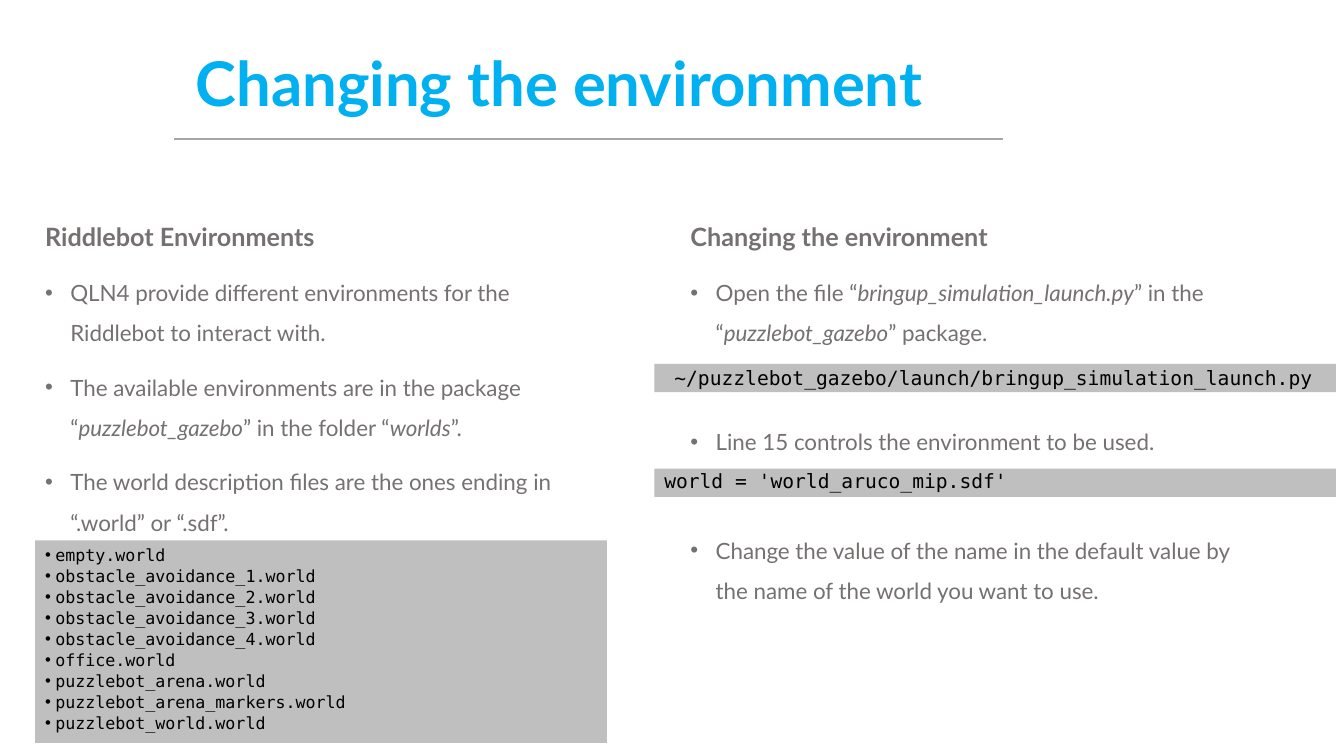
from dataclasses import dataclass
from lxml.etree import SubElement
from pptx import Presentation
from pptx.dml.color import RGBColor
from pptx.enum.shapes import MSO_CONNECTOR, MSO_SHAPE
from pptx.enum.text import MSO_ANCHOR, MSO_AUTO_SIZE, PP_ALIGN
from pptx.oxml.ns import qn
from pptx.util import Inches, Pt


@dataclass(frozen=True)
class Theme:
    accent = RGBColor(0x00, 0xB0, 0xF0)
    body = RGBColor(0x76, 0x71, 0x71)
    rule = RGBColor(0xA5, 0xA5, 0xA5)
    code_fill = RGBColor(0xBF, 0xBF, 0xBF)
    code = RGBColor(0, 0, 0)
    sans = "Lato"
    mono = "DejaVu Sans Mono"
    title_size = Pt(44)
    heading_size = Pt(18)
    body_size = Pt(16)
    code_size = Pt(14)
    list_size = Pt(11.9)


THEME = Theme()
BULLET_GAP = Pt(10)
CODE_GAP = Pt(48.8)

ENVIRONMENT_POINTS = [
    (BULLET_GAP, ["QLN4 provide different environments for the Riddlebot to interact with."]),
    (BULLET_GAP, ["The available environments are in the package “", "puzzlebot_gazebo",
                  "” in the folder “", "worlds", "”."]),
    (BULLET_GAP, ["The world description files are the ones ending in “.world” or “.sdf”."]),
]
CHANGE_POINTS = [
    (BULLET_GAP, ["Open the file “", "bringup_simulation_launch.py", "” in the “",
                  "puzzlebot_gazebo", "” package."]),
    (CODE_GAP, ["Line 15 controls the environment to be used."]),
    (CODE_GAP, ["Change the value of the name in the default value by the name "
                "of the world you want to use."]),
]
WORLDS = [
    "empty.world",
    *(f"obstacle_avoidance_{number}.world" for number in range(1, 5)),
    "office.world",
    "puzzlebot_arena.world",
    "puzzlebot_arena_markers.world",
    "puzzlebot_world.world",
]


def add_run(paragraph, text, font, size, color, bold=False, italic=False):
    run = paragraph.add_run()
    run.text = text
    run.font.name = font
    run.font.size = size
    run.font.color.rgb = color
    run.font.bold = bold
    run.font.italic = italic


def set_indent(paragraph, margin, hanging=0, bullet=False):
    properties = paragraph._p.get_or_add_pPr()
    properties.set("marL", str(Inches(margin)))
    properties.set("indent", str(Inches(-hanging)))
    if bullet:
        SubElement(properties, qn("a:buFont")).set("typeface", "Arial")
        SubElement(properties, qn("a:buChar")).set("char", "•")


def add_title(slide, text, left, top, width, height):
    title = slide.shapes.title
    title.left, title.top = Inches(left), Inches(top)
    title.width, title.height = Inches(width), Inches(height)
    frame = title.text_frame
    frame.word_wrap = True
    frame.auto_size = MSO_AUTO_SIZE.NONE
    frame.vertical_anchor = MSO_ANCHOR.MIDDLE
    heading = frame.paragraphs[0]
    heading.alignment = PP_ALIGN.LEFT
    heading.line_spacing = 0.9
    add_run(heading, text, THEME.sans, THEME.title_size, THEME.accent, bold=True)

    rule_y = Inches(top + 1.25)
    rule = slide.shapes.add_connector(
        MSO_CONNECTOR.STRAIGHT, Inches(left - 0.11), rule_y, Inches(left + 8.11), rule_y)
    rule.line.color.rgb = THEME.rule
    rule.line.width = Pt(1.5)
    SubElement(rule._element.spPr, qn("a:effectLst"))


def add_column(slide, heading, points, left, top, width, height):
    column = slide.shapes.add_textbox(Inches(left), Inches(top), Inches(width), Inches(height))
    frame = column.text_frame
    frame.word_wrap = True
    heading_line = frame.paragraphs[0]
    heading_line.line_spacing = 1.5
    add_run(heading_line, heading, THEME.sans, THEME.heading_size, THEME.body, bold=True)
    for gap, parts in points:
        point = frame.add_paragraph()
        set_indent(point, 0.25, 0.25, bullet=True)
        point.line_spacing = 1.5
        point.space_before = gap
        for index, part in enumerate(parts):
            add_run(point, part, THEME.sans, THEME.body_size, THEME.body, italic=index % 2 == 1)


def add_code_box(slide, lines, size, left, top, width, height,
                 spacing=1.0, margin=0, bullet=False):
    box = slide.shapes.add_shape(
        MSO_SHAPE.RECTANGLE, Inches(left), Inches(top), Inches(width), Inches(height))
    box.shadow.inherit = False
    box.fill.solid()
    box.fill.fore_color.rgb = THEME.code_fill
    box.line.fill.background()
    frame = box.text_frame
    frame.word_wrap = True
    frame.vertical_anchor = MSO_ANCHOR.MIDDLE
    for index, code in enumerate(lines):
        line = frame.add_paragraph() if index else frame.paragraphs[0]
        set_indent(line, margin, margin if bullet else 0, bullet)
        line.alignment = PP_ALIGN.LEFT
        line.line_spacing = spacing
        if index:
            line.space_before = Pt(5)
        add_run(line, code, THEME.mono, size, THEME.code)


def add_environments(slide, left, top, width, height):
    add_column(slide, "Riddlebot Environments", ENVIRONMENT_POINTS, left, top, width, height)
    add_code_box(slide, WORLDS, THEME.list_size, left, top + 3.36, width, 2.01,
                 spacing=0.7, margin=0.1, bullet=True)


def add_changes(slide, left, top, width, height):
    add_column(slide, "Changing the environment", CHANGE_POINTS, left, top, width, height)
    code_left, code_width, code_height = left - 0.26, width + 1.09, 0.28
    add_code_box(slide, ["~/puzzlebot_gazebo/launch/bringup_simulation_launch.py"],
                 THEME.code_size, code_left, top + 1.61, code_width, code_height, margin=0.1)
    add_code_box(slide, ["world = 'world_aruco_mip.sdf'"], THEME.code_size,
                 code_left, top + 2.65, code_width, code_height, spacing=Pt(14.2))


def main():
    deck = Presentation()
    deck.slide_width, deck.slide_height = Inches(13.33), Inches(7.5)
    slide = deck.slides.add_slide(deck.slide_layouts.get_by_name("Title Only"))
    add_title(slide, "Changing the environment", 1.84, 0.13, 8.92, 1.45)
    add_environments(slide, 0.35, 2, 5.67, 4.76)
    add_changes(slide, 6.75, 2, 5.67, 4.76)
    deck.save("out.pptx")


if __name__ == "__main__":
    main()
